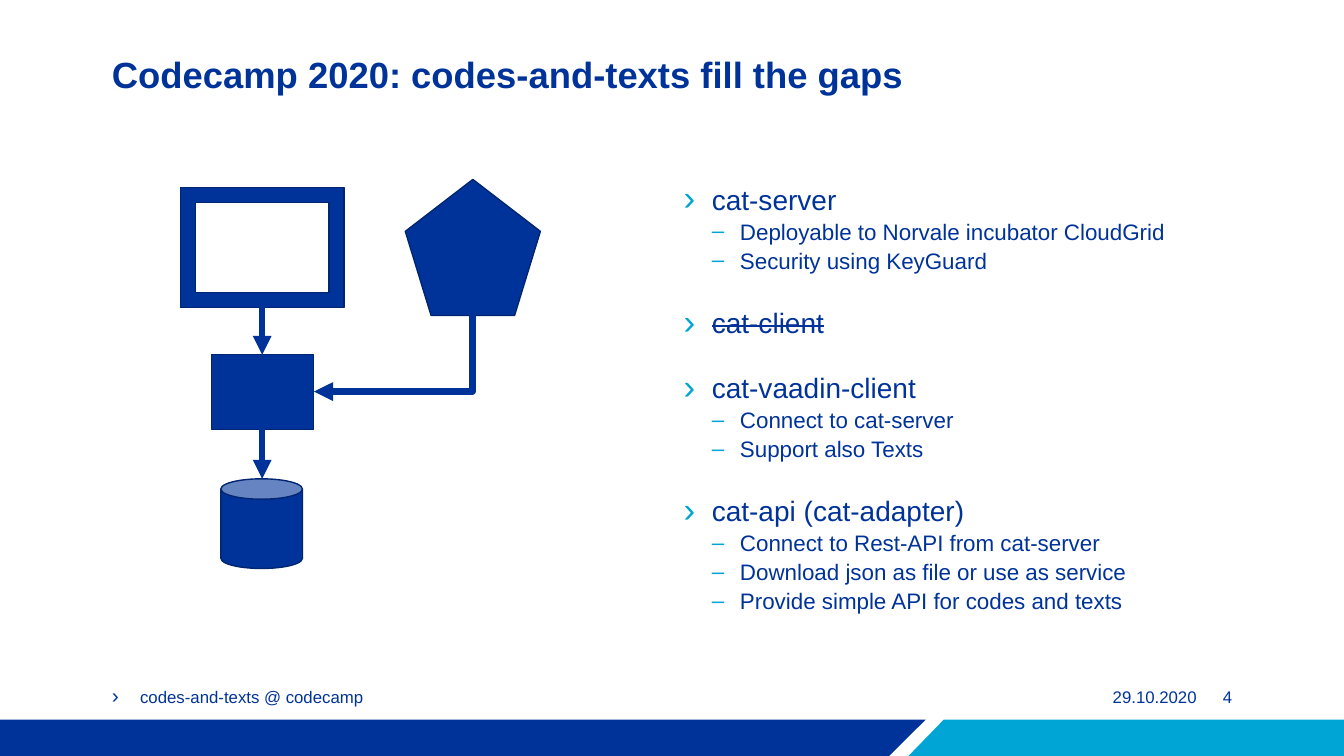
from pptx import Presentation
from pptx.dml.color import RGBColor
from pptx.enum.shapes import MSO_CONNECTOR, MSO_SHAPE
from pptx.enum.text import MSO_ANCHOR, PP_ALIGN
from pptx.oxml.ns import qn
from pptx.util import Inches, Pt
from lxml.etree import SubElement

NAVY = RGBColor(0x00, 0x33, 0x99)
DARK_NAVY = RGBColor(0x00, 0x26, 0x71)
CYAN = RGBColor(0x00, 0xA5, 0xD5)
INDENT = 0.28

presentation = Presentation()
presentation.slide_width = Inches(13.33)
presentation.slide_height = Inches(7.5)
slide = presentation.slides.add_slide(presentation.slide_layouts[6])
shapes = slide.shapes


def add_text(box, lines, size=12, bold=False, align=PP_ALIGN.LEFT,
             anchor=MSO_ANCHOR.TOP, spacing=1.08, bottom=0):
    """Each line is a dict: text, and optionally bullet, level, strike, size, before."""
    frame = shapes.add_textbox(*map(Inches, box)).text_frame
    frame.word_wrap = True
    frame.vertical_anchor = anchor
    frame.margin_left = frame.margin_right = frame.margin_top = 0
    frame.margin_bottom = Inches(bottom)
    for index, line in enumerate(lines):
        paragraph = frame.paragraphs[0] if index == 0 else frame.add_paragraph()
        paragraph.alignment = align
        paragraph.line_spacing = spacing
        paragraph.space_before = Pt(line.get("before", 0))
        paragraph.level = level = line.get("level", 0)
        run = paragraph.add_run()
        run.text = line["text"]
        run.font.name = "Arial"
        run.font.size = Pt(line.get("size", size))
        run.font.bold = bold
        run.font.color.rgb = NAVY
        if line.get("strike"):
            run._r.get_or_add_rPr().set("strike", "sngStrike")
        if "bullet" in line:
            properties = paragraph._p.get_or_add_pPr()
            properties.set("marL", str(Inches(INDENT * (level + 1))))
            properties.set("indent", str(-Inches(INDENT)))
            colour = SubElement(properties, qn("a:buClr"))
            SubElement(colour, qn("a:srgbClr")).set("val", str(line.get("bullet_colour", CYAN)))
            percent = "100000" if level else "125000"
            SubElement(properties, qn("a:buSzPct")).set("val", percent)
            SubElement(properties, qn("a:buFont")).set("typeface", "Arial")
            SubElement(properties, qn("a:buChar")).set("char", line["bullet"])


def add_arrow(kind, start, end):
    connector = shapes.add_connector(kind, *map(Inches, start + end))
    connector.line.color.rgb = NAVY
    connector.line.width = Pt(4.5)
    SubElement(connector.line._get_or_add_ln(), qn("a:tailEnd")).set("type", "triangle")
    SubElement(connector._element.spPr, qn("a:effectLst"))
    return connector


# Footer bands
bands = [
    (CYAN, [(9.36, 7.14), (9.01, 7.5), (13.33, 7.5), (13.33, 7.14)]),
    (NAVY, [(0, 7.14), (0, 7.5), (8.82, 7.5), (9.18, 7.14)]),
]
for colour, corners in bands:
    points = [(Inches(x), Inches(y)) for x, y in corners]
    builder = shapes.build_freeform(*points[0])
    builder.add_line_segments(points[1:], close=True)
    band = builder.convert_to_shape()
    band.shadow.inherit = False
    band.fill.solid()
    band.fill.fore_color.rgb = colour
    band.line.fill.background()

# Title
add_text((1.11, 0.48, 11.1, 0.97),
         [{"text": "Codecamp 2020: codes-and-texts fill the gaps"}], size=26, bold=True)

# Module list
modules = [
    ("cat-server", ["Deployable to Norvale incubator CloudGrid", "Security using KeyGuard"]),
    ("cat-client", []),
    ("cat-vaadin-client", ["Connect to cat-server", "Support also Texts"]),
    ("cat-api (cat-adapter)", ["Connect to Rest-API from cat-server",
                               "Download json as file or use as service",
                               "Provide simple API for codes and texts"]),
]
module_lines = []
for name, details in modules:
    module_lines.append({"text": name, "bullet": "›", "size": 20,
                         "strike": name == "cat-client",
                         "before": 20.7 if module_lines else 0})
    module_lines += [{"text": detail, "bullet": "–", "level": 1} for detail in details]
add_text((6.78, 1.78, 5.43, 4.8), module_lines, size=16)

# Footer texts
footer = dict(anchor=MSO_ANCHOR.BOTTOM, spacing=Pt(16), bottom=0.01)
add_text((1.11, 6.78, 7.32, 0.24),
         [{"text": "codes-and-texts @ codecamp", "bullet": "›", "bullet_colour": NAVY}], **footer)
add_text((8.68, 6.78, 3.19, 0.24), [{"text": "29.10.2020"}], align=PP_ALIGN.RIGHT, **footer)
add_text((11.87, 6.78, 0.35, 0.24), [{"text": "4"}], align=PP_ALIGN.RIGHT, **footer)

# Diagram: database, server, client screen, adapter
nodes = [
    (MSO_SHAPE.CAN, (2.19, 4.75, 0.81, 0.89)),
    (MSO_SHAPE.RECTANGLE, (2.1, 3.52, 1.01, 0.74)),
    (MSO_SHAPE.FRAME, (1.79, 1.86, 1.62, 1.19)),
    (MSO_SHAPE.REGULAR_PENTAGON, (4.02, 1.78, 1.34, 1.35)),
]
for kind, box in nodes:
    node = shapes.add_shape(kind, *map(Inches, box))
    node.shadow.inherit = False
    node.fill.solid()
    node.fill.fore_color.rgb = NAVY
    node.line.color.rgb = DARK_NAVY
    node.line.width = Pt(1)

# Arrows
add_arrow(MSO_CONNECTOR.STRAIGHT, (2.6, 4.26), (2.6, 4.75))
add_arrow(MSO_CONNECTOR.STRAIGHT, (2.6, 3.05), (2.6, 3.52))
# One-bend elbow, turned a quarter so that it leaves downwards
elbow = add_arrow(MSO_CONNECTOR.ELBOW, (3.52, 2.72), (4.28, 4.29))
elbow._element.spPr.find(qn("a:prstGeom")).set("prst", "bentConnector2")
elbow._element.spPr.find(qn("a:xfrm")).set("rot", "5400000")

presentation.save("out.pptx")
